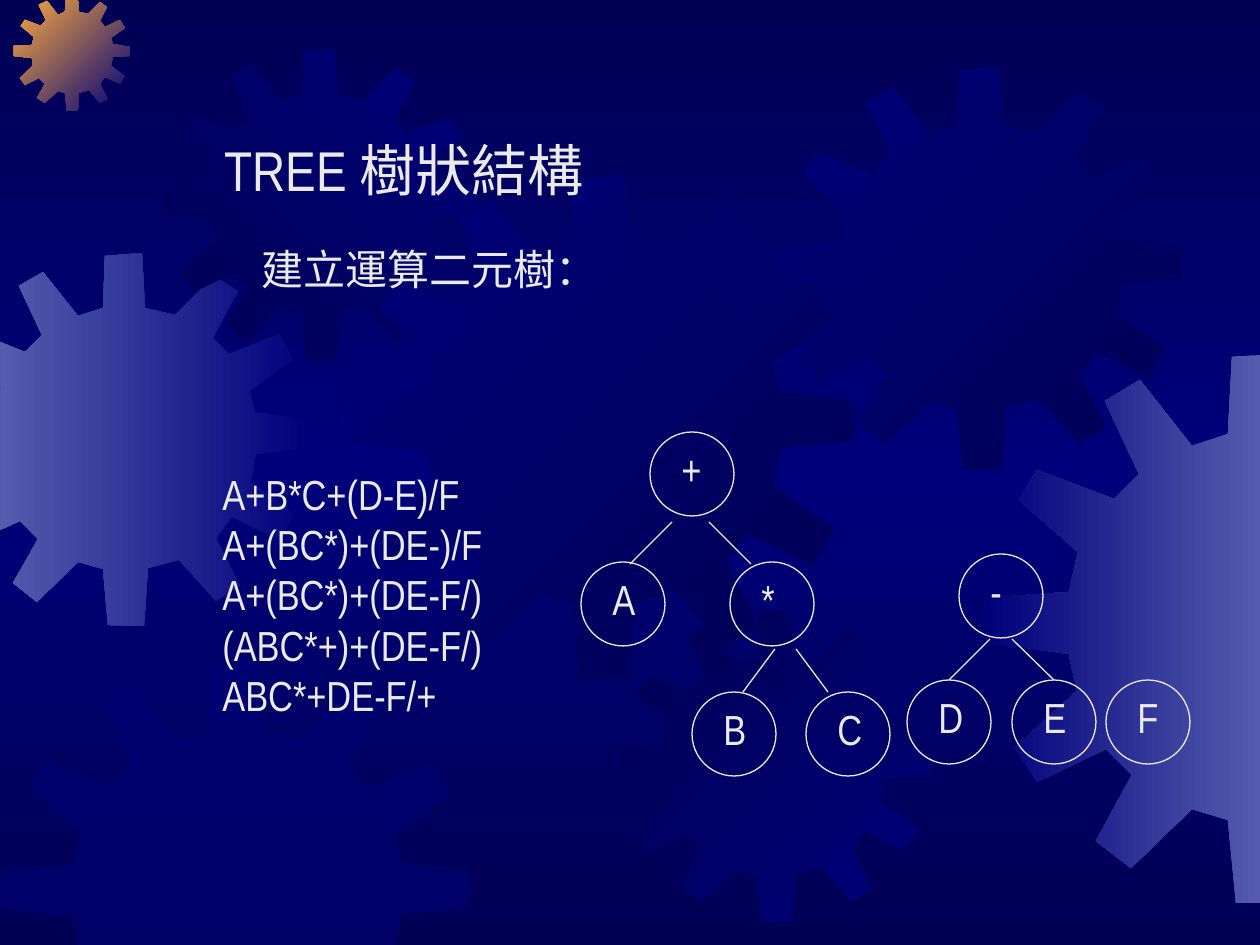
"""Builds a slide about turning an arithmetic expression into a binary tree."""
from copy import deepcopy

from lxml import etree
from pptx import Presentation
from pptx.dml.color import RGBColor
from pptx.enum.shapes import MSO_CONNECTOR, MSO_SHAPE
from pptx.oxml.ns import qn
from pptx.util import Pt

PX = 914400 // 126
WIDTH, HEIGHT = 1260, 945
OVAL, STRAIGHT = MSO_SHAPE.OVAL, MSO_CONNECTOR.STRAIGHT
COLORS = {"dark": "000054", "blue": "00007A", "light": "555BAD",
          "orange": "FCAB40", "text": "EAEAEA"}
FONT = "Arial Narrow"
NODE = 84

GEAR_SIZE = 401
GEAR = [
    (255, 67), (223, 59), (219, 0), (180, 3), (177, 59), (151, 68),
    (113, 20), (87, 35), (112, 88), (94, 106), (38, 85), (25, 107),
    (68, 145), (61, 174), (1, 178), (0, 210), (61, 219), (67, 246),
    (22, 287), (38, 312), (88, 288), (107, 307), (81, 355), (106, 375),
    (151, 332), (177, 340), (183, 400), (222, 401), (226, 339), (259, 330),
    (299, 374), (325, 358), (299, 306), (316, 284), (368, 309), (384, 281),
    (336, 246), (342, 216), (401, 210), (400, 180), (341, 171), (335, 148),
    (383, 114), (367, 87), (313, 109), (296, 91), (323, 41), (297, 25),
]

GEARS = [
    (-62, 253, 373, "blue", "light", 180),
    (14, -5, 116, "blue", "orange", 135),
    (164, 49, 312, "blue", "dark", 225),
    (349, 175, 506, "dark", "blue", 135),
    (0, 661, 471, "blue", None, 0),
    (619, 610, 312, "blue", "dark", 135),
    (779, 67, 403, "dark", "blue", 135),
    (985, 353, 551, "light", "blue", 180),
]

EXPRESSIONS = ["A+B*C+(D-E)/F", "A+(BC*)+(DE-)/F", "A+(BC*)+(DE-F/)",
               "(ABC*+)+(DE-F/)", "ABC*+DE-F/+"]

NODES = [("F", 1106, 680), ("D", 907, 680), ("E", 1012, 680),
         ("-", 959, 554), ("C", 806, 692), ("B", 692, 692),
         ("*", 730, 562), ("A", 581, 562), ("+", 650, 432)]

EDGES = [(990, 639, 949, 680, "D"), (1012, 639, 1054, 680, "E"),
         (775, 649, 743, 692, None), (796, 649, 828, 692, None),
         (672, 522, 630, 564, None), (709, 522, 751, 564, None)]


def clip(points, axis, limit, sign):
    """Keep the part of a polygon on one side of an upright or level line."""
    kept = []
    for start, end in zip(points[-1:] + points[:-1], points):
        before, after = (sign * (limit - p[axis]) for p in (start, end))
        if before * after < 0:
            share = before / (before - after)
            kept.append(tuple(a + share * (b - a) for a, b in zip(start, end)))
        if after >= 0:
            kept.append(end)
    return kept


class SlideBuilder:
    """Holds the style and the current slide."""

    def __init__(self, slide):
        self.slide = slide

    def color(self, name):
        return RGBColor.from_string(COLORS[name])

    def gradient(self, fill, first, last, angle):
        fill.gradient()
        fill.gradient_angle = angle
        for stop, name in zip(fill.gradient_stops, (first, last)):
            stop.color.rgb = self.color(name)

    def background(self, edge, middle):
        self.gradient(self.slide.background.fill, edge, edge, 270)
        stops = next(self.slide.element.iter(qn("a:gsLst")))
        center = deepcopy(stops[0])
        center.set("pos", "50000")
        center[0].set("val", COLORS[middle])
        stops.insert(1, center)

    def gear(self, left, top, size, first, last, angle):
        points = [(left + x * size / GEAR_SIZE, top + y * size / GEAR_SIZE)
                  for x, y in GEAR]
        for axis, limit, sign in ((0, 0, -1), (0, WIDTH, 1), (1, 0, -1), (1, HEIGHT, 1)):
            points = clip(points, axis, limit, sign)
        builder = self.slide.shapes.build_freeform(*points[0], scale=PX)
        builder.add_line_segments(points[1:], close=True)
        shape = builder.convert_to_shape()
        shape.shadow.inherit = False
        shape.line.fill.background()
        if last:
            self.gradient(shape.fill, first, last, angle)
        else:
            shape.fill.solid()
            shape.fill.fore_color.rgb = self.color(first)
            tint = next(shape.element.spPr.iter(qn("a:srgbClr")))
            etree.SubElement(tint, qn("a:alpha"), val="50000")

    def text(self, lines, left, top, width, height, size=24, shapes=None):
        shapes = shapes or self.slide.shapes
        box = shapes.add_textbox(left * PX, top * PX, width * PX, height * PX)
        frame = box.text_frame
        frame.word_wrap = True
        frame.text = "\n".join(lines)
        for paragraph in frame.paragraphs:
            for run in paragraph.runs:
                run.font.name = FONT
                run.font.size = Pt(size)
                run.font.color.rgb = self.color("text")

    def outline(self, shape):
        shape.line.color.rgb = self.color("text")
        shape.line.width = Pt(0.75)

    def node(self, label, left, top):
        group = self.slide.shapes.add_group_shape()
        circle = group.shapes.add_shape(OVAL, left * PX, top * PX, NODE * PX, NODE * PX)
        circle.shadow.inherit = False
        circle.fill.background()
        self.outline(circle)
        self.text([label], left + 19, top + 5, 48, 63, shapes=group.shapes)
        return circle

    def edge(self, x1, y1, x2, y2, child=None):
        line = self.slide.shapes.add_connector(STRAIGHT, x1 * PX, y1 * PX, x2 * PX, y2 * PX)
        if child:
            line.end_connect(child, 0)
        self.outline(line)
        etree.SubElement(line.element.spPr, qn("a:effectLst"))


def main():
    presentation = Presentation()
    presentation.slide_width, presentation.slide_height = WIDTH * PX, HEIGHT * PX
    builder = SlideBuilder(presentation.slides.add_slide(presentation.slide_layouts[6]))
    builder.background("dark", "blue")
    for gear in GEARS:
        builder.gear(*gear)
    builder.text(["TREE 樹狀結構"], 212, 129, 398, 81, size=32)
    builder.text(EXPRESSIONS, 210, 462, 290, 265)
    builder.text(["建立運算二元樹："], 249, 237, 370, 63)
    circles = {label: builder.node(label, left, top) for label, left, top in NODES}
    for *ends, child in EDGES:
        builder.edge(*ends, circles.get(child))
    presentation.save("out.pptx")


if __name__ == "__main__":
    main()
